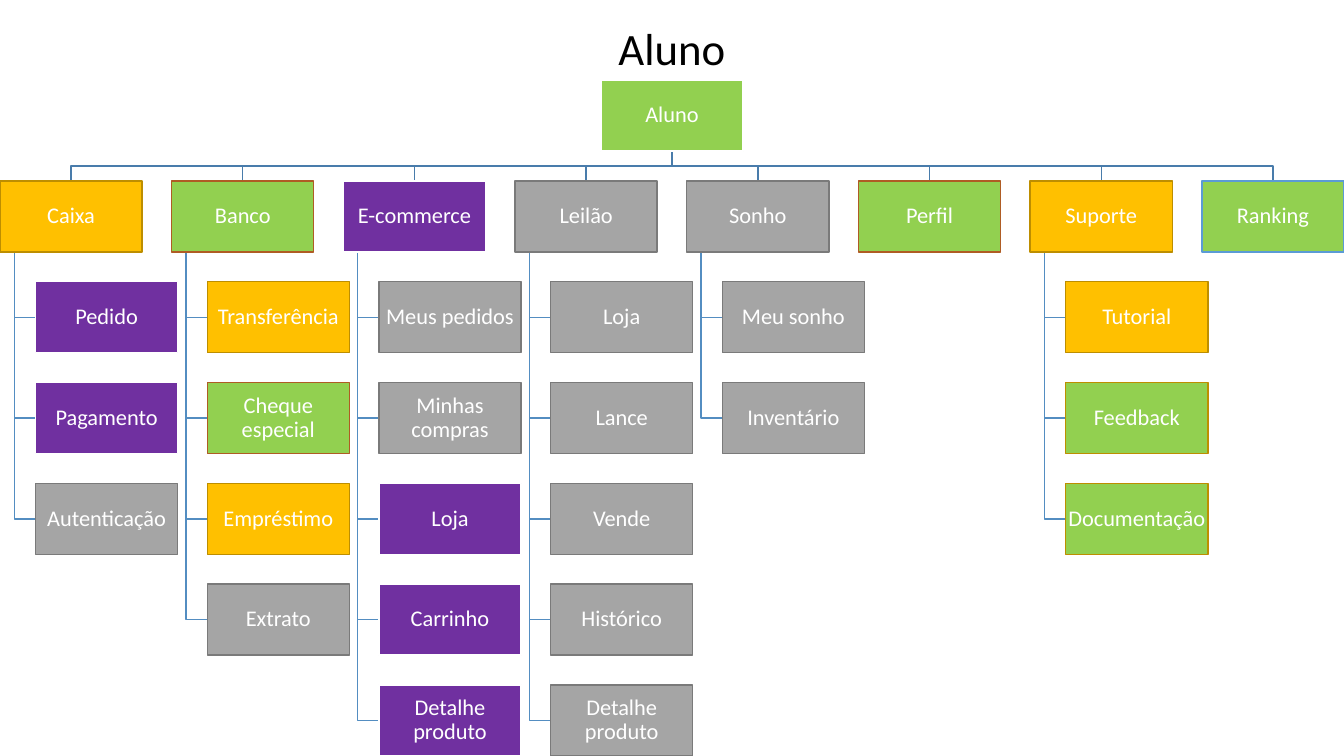
from pptx import Presentation
from pptx.dml.color import RGBColor
from pptx.enum.shapes import MSO_SHAPE
from pptx.enum.text import MSO_ANCHOR, PP_ALIGN
from pptx.util import Inches, Pt

BLACK = RGBColor(0x00, 0x00, 0x00)
WHITE = RGBColor(0xFF, 0xFF, 0xFF)
GREEN = RGBColor(0x92, 0xD0, 0x50)
AMBER = RGBColor(0xFF, 0xC0, 0x00)
PURPLE = RGBColor(0x70, 0x30, 0xA0)
GRAY = RGBColor(0xA5, 0xA5, 0xA5)
DARK_AMBER = RGBColor(0xBD, 0x8E, 0x00)
DARK_GRAY = RGBColor(0x7A, 0x7A, 0x7A)
RUST = RGBColor(0xAF, 0x5C, 0x24)
BLUE = RGBColor(0x5B, 0x9B, 0xD5)
TRUNK = RGBColor(0x49, 0x7C, 0xAB)
BRANCH = RGBColor(0x53, 0x8D, 0xC1)

# Box styles: fill, outline
ROOT = (GREEN, WHITE)
YELLOW_BOX = (AMBER, DARK_AMBER)
PURPLE_BOX = (PURPLE, WHITE)
GRAY_BOX = (GRAY, DARK_GRAY)
GREEN_BOX = (GREEN, RUST)
GREEN_AMBER = (GREEN, DARK_AMBER)
GREEN_BLUE = (GREEN, BLUE)

# Content: area, style, items
TITLE = "Aluno"
AREAS = [
    ("Caixa", YELLOW_BOX, [("Pedido", PURPLE_BOX), ("Pagamento", PURPLE_BOX),
                           ("Autenticação", GRAY_BOX)]),
    ("Banco", GREEN_BOX, [("Transferência", YELLOW_BOX), ("Cheque especial", GREEN_BOX),
                          ("Empréstimo", YELLOW_BOX), ("Extrato", GRAY_BOX)]),
    ("E-commerce", PURPLE_BOX, [("Meus pedidos", GRAY_BOX), ("Minhas compras", GRAY_BOX),
                                ("Loja", PURPLE_BOX), ("Carrinho", PURPLE_BOX),
                                ("Detalhe produto", PURPLE_BOX)]),
    ("Leilão", GRAY_BOX, [("Loja", GRAY_BOX), ("Lance", GRAY_BOX), ("Vende", GRAY_BOX),
                          ("Histórico", GRAY_BOX), ("Detalhe produto", GRAY_BOX)]),
    ("Sonho", GRAY_BOX, [("Meu sonho", GRAY_BOX), ("Inventário", GRAY_BOX)]),
    ("Perfil", GREEN_BOX, []),
    ("Suporte", YELLOW_BOX, [("Tutorial", YELLOW_BOX), ("Feedback", GREEN_AMBER),
                             ("Documentação", GREEN_AMBER)]),
    ("Ranking", GREEN_BLUE, []),
]

# Layout in inches: boxes are twice as wide as high, the last row ends at the slide edge
SLIDE_W, SLIDE_H = 13.33, 7.5
TITLE_H = 0.8
BOX_W = 1.41
BOX_H = BOX_W / 2
ROW_STEP = 1.0
MAX_ITEMS = max(len(items) for _, _, items in AREAS)
AREA_Y = SLIDE_H - BOX_H - MAX_ITEMS * ROW_STEP
ROOT_Y = AREA_Y - ROW_STEP
COL_STEP = (SLIDE_W - BOX_W) / (len(AREAS) - 1)
STEM_DX, ITEM_DX = BOX_W / 10, BOX_W / 4

prs = Presentation()
prs.slide_width, prs.slide_height = Inches(SLIDE_W), Inches(SLIDE_H)
slide = prs.slides.add_slide(prs.slide_layouts[5])


def write(tf, text, size, color):
    p = tf.paragraphs[0]
    p.alignment = PP_ALIGN.CENTER
    p.line_spacing = 0.9
    r = p.add_run()
    r.text = text
    r.font.name, r.font.size = "Calibri", Pt(size)
    r.font.color.rgb = color


def add_elbow(points, color):
    pts = [(Inches(x), Inches(y)) for x, y in points]
    builder = slide.shapes.build_freeform(*pts[0])
    builder.add_line_segments(pts[1:], close=False)
    sp = builder.convert_to_shape()
    sp.shadow.inherit = False
    sp.fill.background()
    sp.line.color.rgb, sp.line.width = color, Pt(1)


def add_box(text, style, x, y):
    sp = slide.shapes.add_shape(MSO_SHAPE.RECTANGLE, Inches(x), Inches(y),
                                Inches(BOX_W), Inches(BOX_H))
    sp.shadow.inherit = False
    sp.fill.solid()
    sp.fill.fore_color.rgb, sp.line.color.rgb = style
    sp.line.width = Pt(1)
    tf = sp.text_frame
    tf.word_wrap = True
    tf.vertical_anchor = MSO_ANCHOR.MIDDLE
    tf.margin_left = tf.margin_right = tf.margin_top = tf.margin_bottom = Inches(0.01)
    write(tf, text, 16, WHITE)


# Title
title = slide.shapes.title
title.left, title.top = Inches(0), Inches(0)
title.width, title.height = Inches(SLIDE_W), Inches(TITLE_H)
title.text_frame.vertical_anchor = MSO_ANCHOR.BOTTOM
write(title.text_frame, TITLE, 32, BLACK)

# Connecting lines, behind the boxes
root_x, root_bottom = SLIDE_W / 2, ROOT_Y + BOX_H
bus_y = (root_bottom + AREA_Y) / 2
for col, (_, _, items) in enumerate(AREAS):
    x = col * COL_STEP
    center = x + BOX_W / 2
    add_elbow([(root_x, root_bottom), (root_x, bus_y), (center, bus_y),
               (center, AREA_Y)], TRUNK)
    for row in range(1, len(items) + 1):
        y = AREA_Y + row * ROW_STEP + BOX_H / 2
        add_elbow([(x + STEM_DX, AREA_Y + BOX_H), (x + STEM_DX, y),
                   (x + ITEM_DX, y)], BRANCH)

# Boxes
add_box(TITLE, ROOT, root_x - BOX_W / 2, ROOT_Y)
for col, (area, style, items) in enumerate(AREAS):
    x = col * COL_STEP
    add_box(area, style, x, AREA_Y)
    for row, (item, item_style) in enumerate(items, 1):
        add_box(item, item_style, x + ITEM_DX, AREA_Y + row * ROW_STEP)

prs.save("out.pptx")
